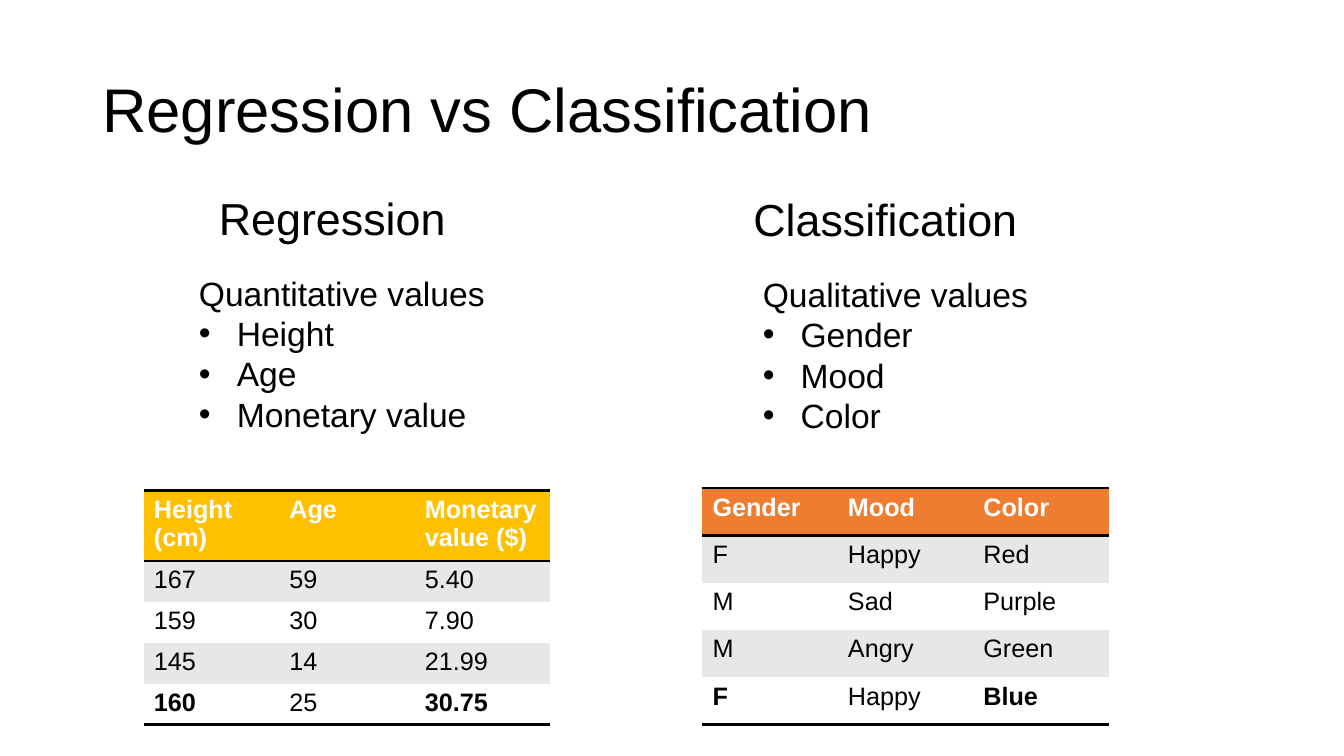
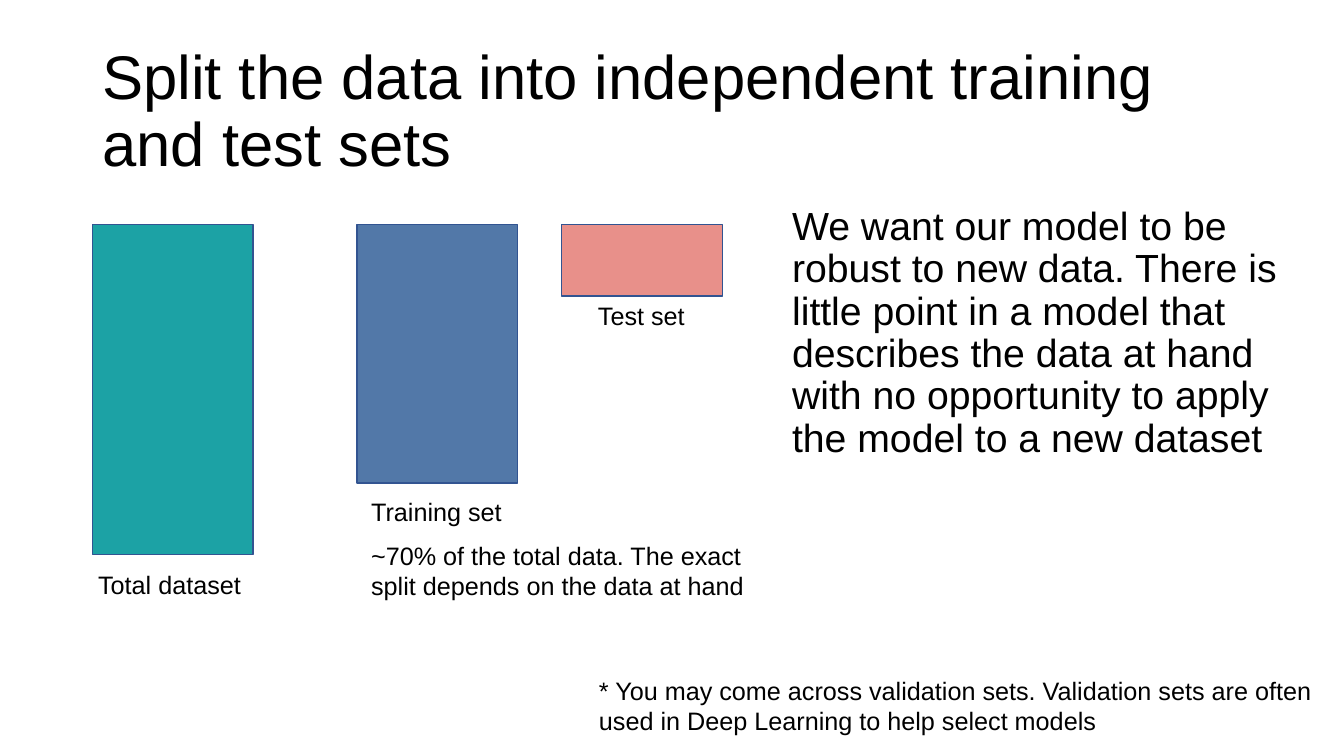
import lxml.etree
import pptx
import pptx.dml.color
import pptx.enum.shapes
import pptx.enum.text
import pptx.oxml.ns
import pptx.util

PX = 9525
FONT = "Arial"
BLACK = "000000"
WHITE = "FFFFFF"
STRIPE = "E7E7E7"
OUTLINE = "325491"
BAR_TOP = 214
BAR_WIDTH = 153
COLUMN_WIDTH = 129


def px(length):
    """Turn pixels into EMU."""
    return pptx.util.Emu(length * PX)


def rgb(value):
    """Turn a hex string into a colour."""
    return pptx.dml.color.RGBColor.from_string(value)


def set_font(para, size, colour=BLACK, bold=False):
    """Set the font of a whole paragraph."""
    font = para.font
    font.name, font.size, font.bold = FONT, pptx.util.Pt(size), bold
    font.color.rgb = rgb(colour)


def add_node(parent, tag, **attributes):
    """Append a DrawingML element to a parent."""
    return lxml.etree.SubElement(parent, pptx.oxml.ns.qn(tag), attributes)


def add_bullet(para):
    """Give a paragraph a hanging bullet."""
    properties = para._p.get_or_add_pPr()
    properties.set("marL", str(px(36)))
    properties.set("indent", str(px(-36)))
    add_node(properties, "a:buFont", typeface=FONT)
    add_node(properties, "a:buChar", char="•")


def add_text(page, left, top, width, height, text, size, wrap=True, bullets=(), spacing=None):
    """Add a text box with one opening paragraph and optional bullets."""
    box = page.shapes.add_textbox(px(left), px(top), px(width), px(height))
    frame = box.text_frame
    frame.word_wrap = wrap
    frame.text = "\n".join([text, *bullets])
    for index, para in enumerate(frame.paragraphs):
        if index:
            add_bullet(para)
        if spacing:
            para.line_spacing = spacing
        set_font(para, size)
    return box


def add_label(page, left, top, width, text, size=18, height=38):
    """Add a single line of text that never wraps."""
    box = add_text(page, left, top, width, height, text, size, wrap=False)
    box.text_frame.auto_size = pptx.enum.text.MSO_AUTO_SIZE.SHAPE_TO_FIT_TEXT


def add_page(deck, title):
    """Add a blank slide with its title."""
    page = deck.slides.add_slide(deck.slide_layouts[6])
    box = add_text(page, 88, 38, 1104, 139, title, 44, spacing=0.9)
    box.text_frame.vertical_anchor = pptx.enum.text.MSO_ANCHOR.MIDDLE
    return page


def set_borders(cell, top, bottom):
    """Draw the chosen horizontal rules of a cell and clear its other sides."""
    properties = cell._tc.get_or_add_tcPr()
    sides = [("a:lnL", False), ("a:lnR", False), ("a:lnT", top), ("a:lnB", bottom)]
    for index, (tag, visible) in enumerate(sides):
        line = add_node(properties, tag, w=str(pptx.util.Pt(2)))
        if visible:
            add_node(add_node(line, "a:solidFill"), "a:srgbClr", val=BLACK)
        else:
            add_node(line, "a:noFill")
        properties.insert(index, line)


def add_data_table(page, left, top, rows, accent, header_height, row_height):
    """Add a striped table with a coloured header and a partly bold last row."""
    last_row, last_column = len(rows) - 1, len(rows[0]) - 1
    width = COLUMN_WIDTH * len(rows[0])
    height = header_height + row_height * last_row
    table = page.shapes.add_table(
        len(rows), len(rows[0]), px(left), px(top), px(width), px(height)
    ).table
    for column in table.columns:
        column.width = px(COLUMN_WIDTH)
    for row_index, values in enumerate(rows):
        header = row_index == 0
        table.rows[row_index].height = px(header_height if header else row_height)
        fill = accent if header else STRIPE if row_index % 2 else WHITE
        for column_index, value in enumerate(values):
            cell = table.cell(row_index, column_index)
            cell.text = value
            cell.fill.solid()
            cell.fill.fore_color.rgb = rgb(fill)
            bold = header or (row_index == last_row and column_index in (0, last_column))
            set_font(cell.text_frame.paragraphs[0], 18, WHITE if header else BLACK, bold)
            set_borders(cell, row_index in (0, 1), row_index in (0, last_row))


def add_bar(page, left, height, fill):
    """Add an outlined bar that hangs from the common top edge."""
    bar = page.shapes.add_shape(
        pptx.enum.shapes.MSO_SHAPE.RECTANGLE, px(left), px(BAR_TOP), px(BAR_WIDTH), px(height)
    )
    bar.shadow.inherit = False
    bar.fill.solid()
    bar.fill.fore_color.rgb = rgb(fill)
    bar.line.color.rgb = rgb(OUTLINE)
    bar.line.width = pptx.util.Pt(1)


def build_comparison(deck):
    """Build the slide that compares regression with classification."""
    page = add_page(deck, "Regression vs Classification")
    add_label(page, 199, 177, 237, "Regression", 32, 61)
    add_label(page, 708, 178, 273, "Classification", 32, 61)
    add_text(page, 180, 255, 303, 194, "Quantitative values", 24,
             bullets=("Height", "Age", "Monetary value"))
    add_text(page, 717, 256, 291, 194, "Qualitative values", 24,
             bullets=("Gender", "Mood", "Color"))
    measurements = [
        ("Height (cm)", "Age", "Monetary value ($)"),
        ("167", "59", "5.40"),
        ("159", "30", "7.90"),
        ("145", "14", "21.99"),
        ("160", "25", "30.75"),
    ]
    categories = [
        ("Gender", "Mood", "Color"),
        ("F", "Happy", "Red"),
        ("M", "Sad", "Purple"),
        ("M", "Angry", "Green"),
        ("F", "Happy", "Blue"),
    ]
    add_data_table(page, 137, 467, measurements, "FFC000", 67, 39)
    add_data_table(page, 669, 465, categories, "ED7D31", 45, 45)


def build_split(deck):
    """Build the slide on training and test sets."""
    page = add_page(deck, "Split the data into independent training and test sets")
    add_text(page, 745, 192, 510, 367,
             "We want our model to be robust to new data. There is little point in a model "
             "that describes the data at hand with no opportunity to apply the model to a "
             "new dataset", 28, spacing=0.9)
    test_height, training_height = 68, 246
    add_bar(page, 88, training_height + test_height, "1CA2A5")
    add_bar(page, 340, training_height, "5278A8")
    add_bar(page, 535, test_height, "E8908A")
    add_label(page, 84, 537, 156, "Total dataset")
    add_label(page, 344, 468, 145, "Training set")
    add_label(page, 560, 281, 103, "Test set")
    add_text(page, 344, 510, 399, 68,
             "~70% of the total data. The exact split depends on the data at hand", 18)
    add_text(page, 561, 638, 719, 68,
             "* You may come across validation sets. Validation sets are often used in "
             "Deep Learning to help select models", 18)


def main():
    """Build the deck and save it."""
    deck = pptx.Presentation()
    deck.slide_width, deck.slide_height = px(1280), px(720)
    build_comparison(deck)
    build_split(deck)
    deck.save("out.pptx")


if __name__ == "__main__":
    main()
